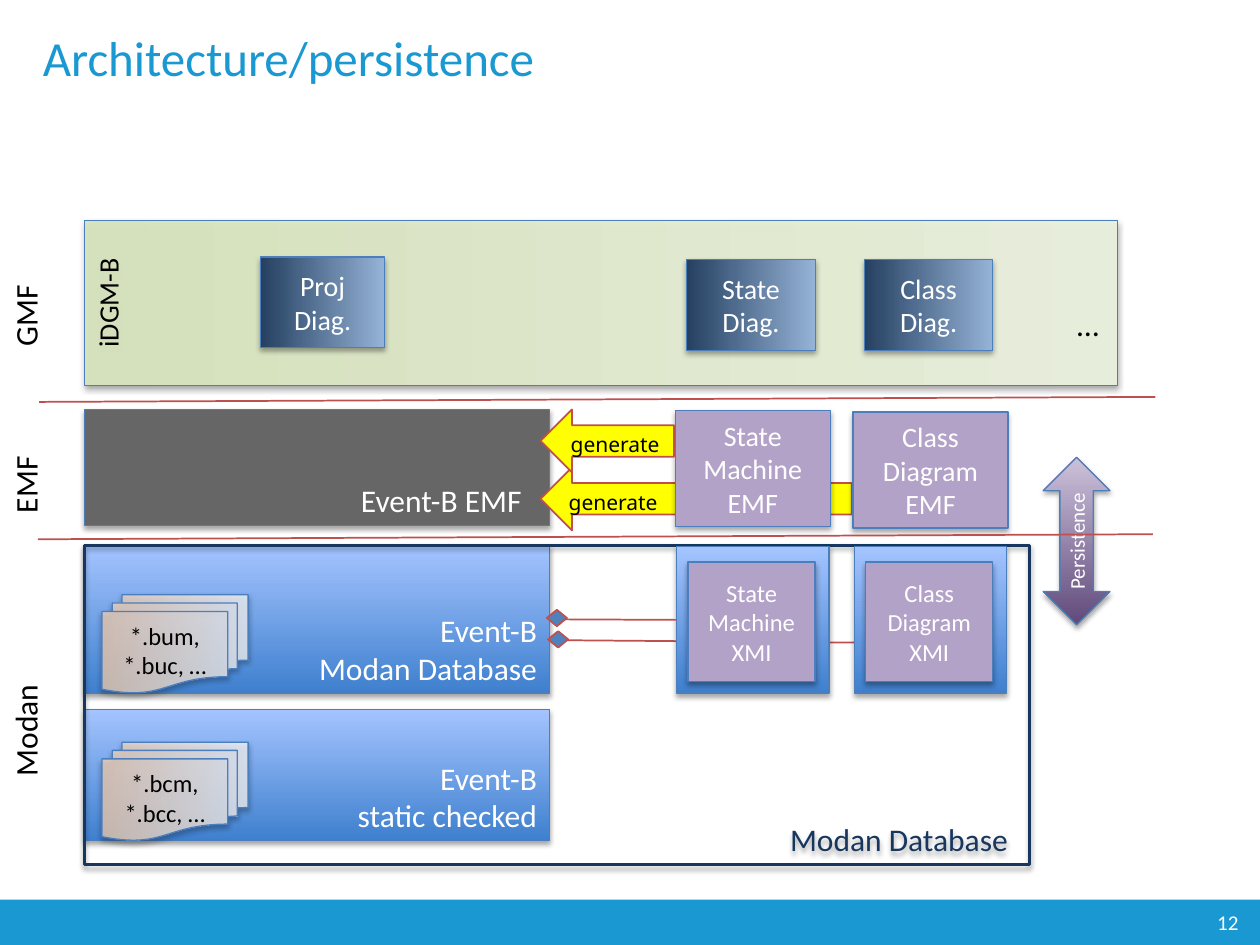
import pptx
import pptx.util
import pptx.dml.color
import pptx.enum.shapes
import pptx.enum.text
import pptx.oxml
import pptx.oxml.ns
from pptx.util import Inches

RGB = pptx.dml.color.RGBColor
SHAPE = pptx.enum.shapes.MSO_SHAPE
ALIGN = pptx.enum.text.PP_ALIGN
ANCHOR = pptx.enum.text.MSO_ANCHOR
qn = pptx.oxml.ns.qn

CYAN = RGB(0x19, 0x98, 0xD2)
WHITE = RGB(0xFF, 0xFF, 0xFF)
BLACK = RGB(0, 0, 0)
GREY = RGB(0x66, 0x66, 0x66)
NAVY = RGB(0x17, 0x37, 0x5E)
EDGE = RGB(0x4B, 0x7E, 0xBC)
RED = RGB(0xC0, 0x50, 0x4D)
YELLOW = RGB(0xFF, 0xFF, 0)
LILAC = RGB(0xB3, 0xA2, 0xC7)
DIAMOND_BLUE = RGB(0x4F, 0x81, 0xBD)

# Gradients: first colour, last colour, angle, opacity in percent
BLUE = (RGB(0x3F, 0x80, 0xCE), RGB(0xA4, 0xC4, 0xFF), 90, 100)
GREEN = (RGB(0xD7, 0xE4, 0xBD), RGB(0xEB, 0xF1, 0xDE), 0, 95)
PEACH = (RGB(0xFC, 0xD5, 0xB5), WHITE, 0, 73)
STEEL = (RGB(0x25, 0x40, 0x61), RGB(0x95, 0xB3, 0xD7), 0, 100)
PURPLE = (RGB(0x60, 0x4A, 0x7B), RGB(0xCC, 0xC1, 0xDA), 0, 100)

SHADOW = (
    '<a:outerShdw %s blurRad="39370" dist="22860" dir="5400000" rotWithShape="0">'
    '<a:srgbClr val="000000"><a:alpha val="35000"/></a:srgbClr></a:outerShdw>'
    % pptx.oxml.ns.nsdecls("a"))


def add_box(kind, at, fill, text="", size=16, color=WHITE, align=ALIGN.CENTER,
            anchor=ANCHOR.MIDDLE, right=0.1, line=EDGE, width=0.75,
            shadow=True, font="Calibri"):
    """Add a preset shape; fill is a colour, a gradient tuple or None."""
    s = sp_tree.add_shape(kind, *map(Inches, at))
    s.shadow.inherit = False
    if shadow:
        effects = s._element.spPr.find(qn("a:effectLst"))
        effects.append(pptx.oxml.parse_xml(SHADOW))
    if fill is None:
        s.fill.background()
    elif isinstance(fill, RGB):
        s.fill.solid()
        s.fill.fore_color.rgb = fill
    else:
        *colors, angle, opacity = fill
        s.fill.gradient()
        s.fill.gradient_angle = angle
        for stop, c in zip(s.fill.gradient_stops, colors):
            stop.color.rgb = c
        if opacity < 100:
            for gs in s._element.spPr.iter(qn("a:gs")):
                alpha = gs[0].makeelement(qn("a:alpha"), {"val": str(opacity * 1000)})
                gs[0].append(alpha)
    if line is None:
        s.line.fill.background()
    else:
        s.line.color.rgb = line
        s.line.width = pptx.util.Pt(width)
    tf = s.text_frame
    tf.word_wrap = True
    tf.vertical_anchor = anchor
    tf.margin_right = Inches(right)
    tf.text = text
    for p in tf.paragraphs:
        p.alignment = align
        p.font.size = pptx.util.Pt(size)
        p.font.name = font
        p.font.color.rgb = color
    return s


def add_line(x1, y1, x2, y2):
    c = sp_tree.add_connector(pptx.enum.shapes.MSO_CONNECTOR.STRAIGHT,
                              *map(Inches, (x1, y1, x2, y2)))
    c.line.color.rgb = RED
    c.line.width = pptx.util.Pt(1)
    spPr = c._element.spPr
    spPr.append(spPr.makeelement(qn("a:effectLst"), {}))
    return c


prs = pptx.Presentation()
prs.slide_width, prs.slide_height = Inches(10), Inches(7.5)
slide = prs.slides.add_slide(prs.slide_layouts[5])
sp_tree = slide.shapes

# Title and footer bar
title = sp_tree.title
title.left, title.top, title.width, title.height = map(Inches, (0.24, 0, 8.76, 0.9))
tf = title.text_frame
tf.text = "Architecture/persistence"
tf.vertical_anchor = ANCHOR.MIDDLE
p = tf.paragraphs[0]
p.alignment = ALIGN.LEFT
p.font.size = pptx.util.Pt(28)
p.font.name = "Calibri"
p.font.color.rgb = CYAN
add_box(SHAPE.RECTANGLE, (0, 7.14, 10, 0.36), CYAN, "12", 12, align=ALIGN.RIGHT,
        right=0.17, line=None, shadow=False)

# Event-B layers and their containers
corner = dict(size=18, align=ALIGN.RIGHT, anchor=ANCHOR.BOTTOM)
generate = dict(text="generate", size=12, color=BLACK, anchor=ANCHOR.TOP,
                line=RED, width=1, shadow=False, font="Noto Sans")
add_line(4.33, 5.08, 6.79, 5.1)
add_box(SHAPE.RECTANGLE, (0.67, 3.25, 3.69, 0.92), GREY, "Event-B EMF", right=0.22, **corner)
class_arrow = add_box(SHAPE.LEFT_ARROW, (4.29, 3.71, 2.47, 0.5), YELLOW,
                      align=ALIGN.LEFT, **generate)
add_box(SHAPE.RECTANGLE, (0.67, 5.63, 3.69, 1.04), BLUE, "Event-B\nstatic checked", **corner)
event_b_db = add_box(SHAPE.RECTANGLE, (0.67, 4.33, 3.69, 1.17), BLUE,
                     "Event-B\nModan Database", **corner)
add_box(SHAPE.RECTANGLE, (0.67, 4.33, 7.5, 2.53), None, "Modan Database", color=NAVY,
        right=0.17, line=NAVY, width=1.75, **corner)
diagram_layer = add_box(SHAPE.RECTANGLE, (0.67, 1.75, 8.2, 1.31), GREEN, "iDGM-B",
                        color=BLACK, anchor=ANCHOR.TOP)
diagram_layer.text_frame._txBody.bodyPr.set("vert", "vert270")

for top, files in ((4.72, "*.bum, *.buc, …"), (5.89, "*.bcm, *.bcc, …")):
    add_box(SHAPE.FLOWCHART_MULTIDOCUMENT, (0.81, top, 1.16, 0.78), PEACH, files, 14, BLACK)

persistence = add_box(SHAPE.LEFT_RIGHT_ARROW, (7.88, 4.03, 1.33, 0.53), PURPLE,
                      "Persistence", 12, right=0.04)
persistence.text_frame.margin_left = Inches(0.04)
persistence.rotation = 270

# Diagram columns
add_box(SHAPE.RECTANGLE, (2.07, 2.04, 0.98, 0.72), STEEL, "Proj Diag.")
databases = []
for x, emf_top, short, name in ((5.36, 3.26, "State", "State Machine"),
                                (6.77, 3.27, "Class", "Class Diagram")):
    databases.append(add_box(SHAPE.RECTANGLE, (x + 0.01, 4.34, 1.21, 1.16), BLUE))
    add_box(SHAPE.RECTANGLE, (x, emf_top, 1.23, 0.92), LILAC, name + " EMF")
    add_box(SHAPE.RECTANGLE, (x + 0.09, 2.06, 1.02, 0.72), STEEL, short + " Diag.")
    add_box(SHAPE.RECTANGLE, (x + 0.1, 4.46, 1.01, 0.95), LILAC, name + " XMI", 14)

# Arrow, layer separators and composition links
state_arrow = add_box(SHAPE.LEFT_ARROW, (4.29, 3.25, 1.06, 0.5), YELLOW, **generate)
for arrow in (class_arrow, state_arrow):
    arrow.text_frame.margin_bottom = 0
add_line(0.3, 4.28, 9.15, 4.24)
add_line(0.31, 3.19, 9.17, 3.15)
link = add_line(4.36, 4.92, 5.37, 4.92)
link.begin_connect(event_b_db, 3)
link.end_connect(databases[0], 1)
for x, y in ((4.34, 4.84), (4.35, 5.01)):
    add_box(SHAPE.DIAMOND, (x, y, 0.16, 0.13), DIAMOND_BLUE, line=RED, width=1, shadow=False)

# Free labels
for at, text, vert in (((8.45, 2.37, 0.41, 0.4), "…", "horz"),
                       ((0, 5.48, 0.5, 0.78), "Modan", "vert270"),
                       ((0, 3.52, 0.5, 0.65), "EMF", "vert270"),
                       ((0, 2.18, 0.5, 0.67), "GMF", "vert270")):
    tf = sp_tree.add_textbox(*map(Inches, at)).text_frame
    tf.word_wrap = False
    tf._txBody.bodyPr.set("vert", vert)
    tf.text = text
    p = tf.paragraphs[0]
    p.font.size = pptx.util.Pt(18)
    p.font.name = "Calibri"
    p.font.color.rgb = BLACK

prs.save("out.pptx")
